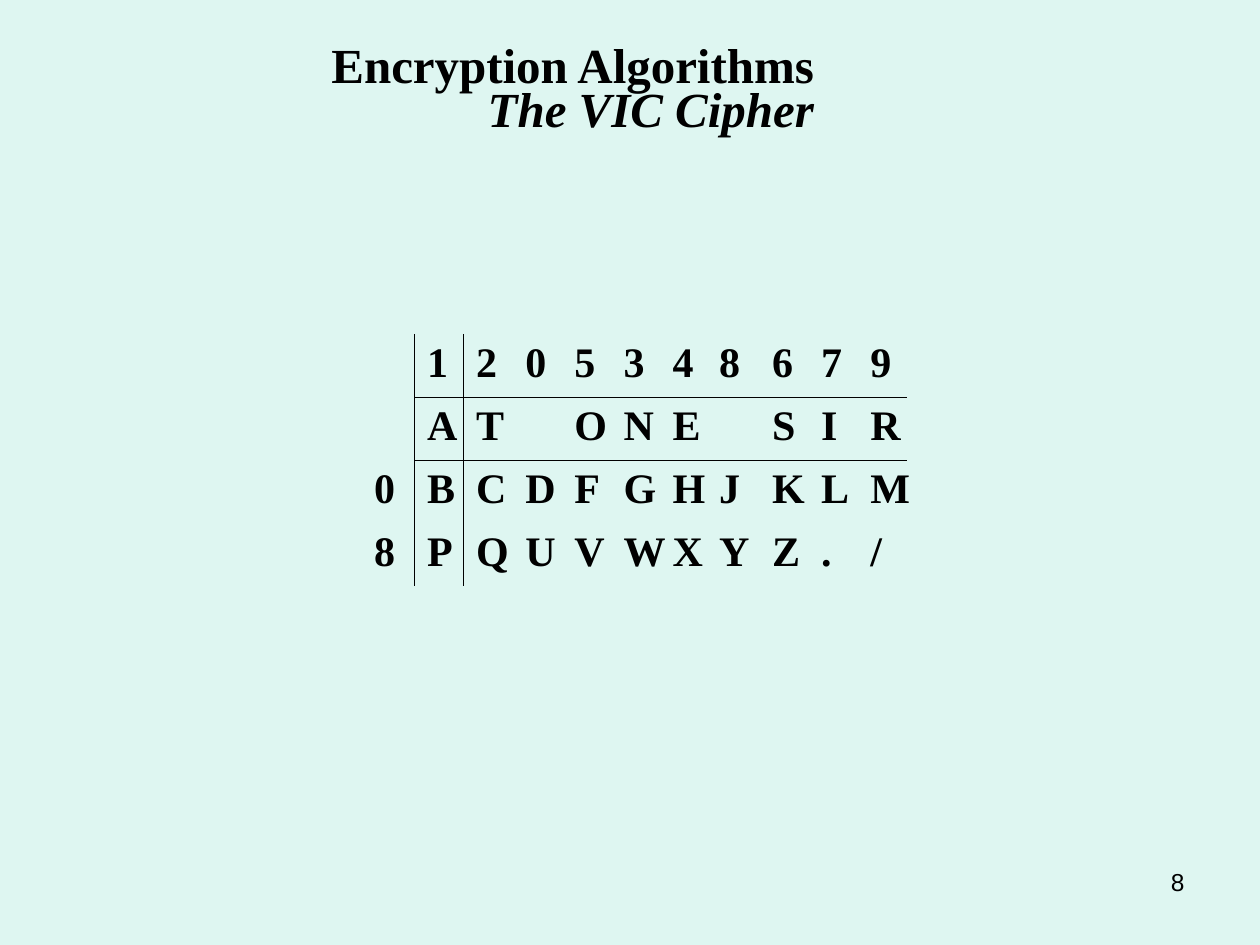
from lxml import etree
from pptx import Presentation
from pptx.dml.color import RGBColor
from pptx.enum.text import MSO_ANCHOR, MSO_AUTO_SIZE, PP_ALIGN
from pptx.oxml import parse_xml
from pptx.util import Inches, Pt

LEFT, RIGHT = PP_ALIGN.LEFT, PP_ALIGN.RIGHT
TOP = MSO_ANCHOR.TOP
FIXED = MSO_AUTO_SIZE.NONE
INK, MINT = "000000", "DEF6F1"
SERIF = "Times New Roman"
NS = "http://schemas.openxmlformats.org/drawingml/2006/main"
PLAIN = "{2D5ABB26-0587-4C30-8999-92F81FD0307C}"  # no style, no grid


def color(code):
    return RGBColor.from_string(code)


def write(para, text, size=24, face=SERIF, bold=True, italic=False, align=LEFT):
    para.alignment = align
    run = para.add_run()
    run.text = text
    font = run.font
    font.size, font.name = Pt(size), face
    font.bold, font.italic = bold, italic
    font.color.rgb = color(INK)


deck = Presentation()
deck.slide_width, deck.slide_height = Inches(10), Inches(7.5)
slide = deck.slides.add_slide(deck.slide_layouts[5])
slide.background.fill.solid()
slide.background.fill.fore_color.rgb = color(MINT)

# Title: wraps into two lines that share a right edge
title = slide.shapes.title
title.left, title.top = Inches(2.16), Inches(0.28)
title.width, title.height = Inches(6), Inches(0.8)
frame = title.text_frame
frame.word_wrap, frame.auto_size = True, FIXED
frame.vertical_anchor = TOP
frame.margin_top, frame.margin_bottom = Inches(0.1), 0
frame.margin_right = Inches(1.7)
head = frame.paragraphs[0]
head.line_spacing = 0.75
write(head, "Encryption Algorithms ", size=28, align=RIGHT)
write(head, "The VIC Cipher", size=28, italic=True, align=RIGHT)

# Cipher table: first column holds the row keys, first row the digits
rows = [" 1205348679", " AT ONE SIR", "0BCDFGHJKLM", "8PQUVWXYZ./"]
widths = [0.42] + [0.39] * 5 + [0.37, 0.42] + [0.39] * 3
holder = slide.shapes.add_table(
    len(rows), len(widths),
    Inches(2.87), Inches(2.65), Inches(sum(widths)), Inches(2))
table = holder.table
table.first_row = table.horz_banding = False
etree.SubElement  # noqa
style = holder._element.find(f".//{{{NS}}}tableStyleId")
style.text = PLAIN
for col, width in zip(table.columns, widths):
    col.width = Inches(width)

for r, row in enumerate(rows):
    table.rows[r].height = Inches(0.5)
    for c, sign in enumerate(row):
        cell = table.cell(r, c)
        cell.fill.background()
        if sign != " ":
            write(cell.text_frame.paragraphs[0], sign)
        # Rule right of the keys and rule below the digits
        sides = {"lnL": c == 1, "lnR": c == 0,
                 "lnT": r == 1 and c > 0, "lnB": r == 0 and c > 0}
        tags = [tag for tag, drawn in sides.items() if drawn]
        for spot, tag in enumerate(tags):
            line = parse_xml(
                f'<a:{tag} xmlns:a="{NS}" w="{Pt(0.45)}"><a:solidFill>'
                f'<a:srgbClr val="{INK}"/></a:solidFill></a:{tag}>')
            cell._tc.get_or_add_tcPr().insert(spot, line)

# Page number
page = slide.shapes.add_textbox(
    Inches(7.17), Inches(6.83), Inches(2.33), Inches(0.52)).text_frame
page.word_wrap = True
write(page.paragraphs[0], "8", size=14, face="Arial", bold=False, align=RIGHT)

deck.save("out.pptx")
